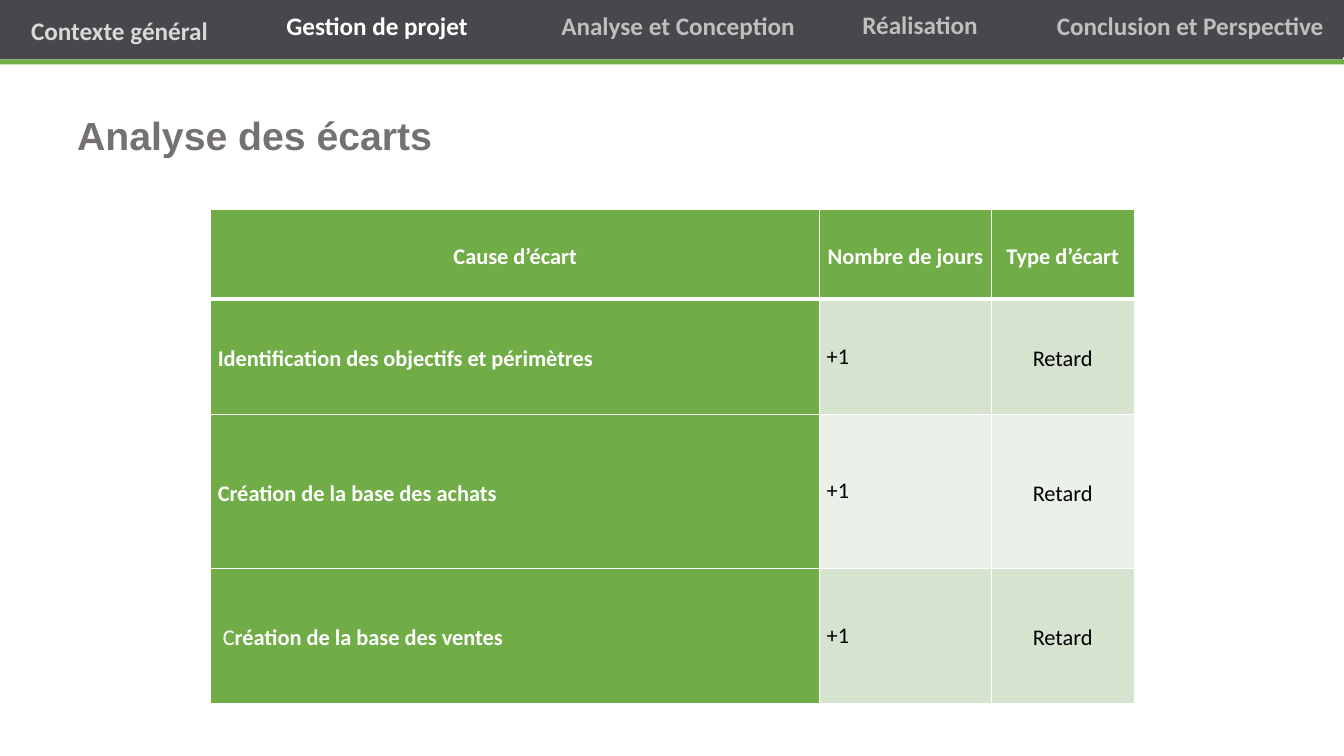
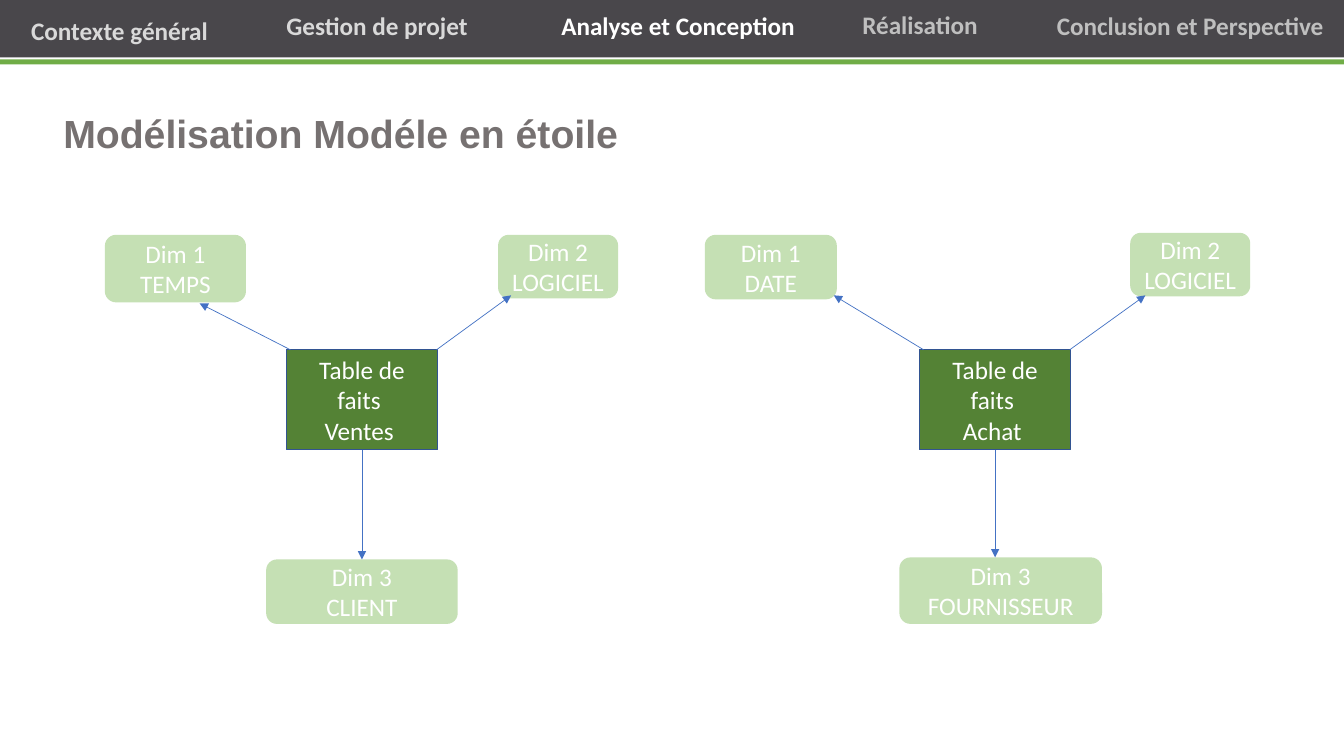
from dataclasses import dataclass

from lxml import etree
from pptx import Presentation
from pptx import util as u
from pptx.dml.color import RGBColor
from pptx.enum import shapes, text
from pptx.oxml import ns

RECT = shapes.MSO_SHAPE.RECTANGLE
ROUND = shapes.MSO_SHAPE.ROUNDED_RECTANGLE
LEFT = text.PP_ALIGN.LEFT
CENTER = text.PP_ALIGN.CENTER


@dataclass(frozen=True)
class Theme:
    """Colours, fonts and type sizes of the deck."""
    body_font: str = "Calibri"
    title_font: str = "Arial"
    title_size: int = 28
    body_size: int = 18
    table_size: int = 16
    white: str = "FFFFFF"
    black: str = "000000"
    title: str = "767171"
    band: str = "49474B"
    green: str = "70AD47"
    fact: str = "548235"
    fact_line: str = "325491"
    dimension: str = "C5E0B4"
    arrow: str = "4472C4"
    tab_before: str = "D9D9D9"
    tab_after: str = "BFBFBF"
    row_fills: tuple = ("D5E3CF", "EBF1E9")


TABS = (
    ("Contexte général", -0.01, 0.09, 2.39),
    ("Gestion de projet", 2.72, 0.04, 2.04),
    ("Analyse et Conception", 5.43, 0.04, 2.59),
    ("Réalisation", 7.83, 0.03, 2.59),
    ("Conclusion et Perspective", 10.35, 0.04, 2.91),
)


class Slides:
    """Draws styled elements on the current page of the deck."""

    def __init__(self, theme):
        self.theme = theme
        self.deck = Presentation()
        self.deck.slide_width = u.Inches(13.33)
        self.deck.slide_height = u.Inches(7.5)
        self.page = None

    def new_page(self):
        self.page = self.deck.slides.add_slide(self.deck.slide_layouts[6])

    def style(self, para, size, color, bold=False, font=None, align=CENTER):
        para.alignment = align
        for span in para.runs:
            span.font.name = font or self.theme.body_font
            span.font.size = u.Pt(size)
            span.font.bold = bold
            span.font.color.rgb = RGBColor.from_string(color)

    def box(self, kind, place, fill=None, line=None, words="", color=None, bold=False):
        box = self.page.shapes.add_shape(kind, *map(u.Inches, place))
        box.shadow.inherit = False
        if fill:
            box.fill.solid()
            box.fill.fore_color.rgb = RGBColor.from_string(fill)
        else:
            box.fill.background()
        if line:
            box.line.color.rgb = RGBColor.from_string(line)
            box.line.width = u.Pt(1)
        else:
            box.line.fill.background()
        if words:
            frame = box.text_frame
            frame.text = words
            frame.word_wrap = True
            frame.vertical_anchor = text.MSO_ANCHOR.MIDDLE
            for para in frame.paragraphs:
                self.style(para, self.theme.body_size, color or self.theme.white, bold)

    def band(self, left, top):
        self.box(RECT, (left, top, 13.33, 0.61), self.theme.band)

    def header(self, current):
        theme = self.theme
        self.band(0, -0.04)
        self.box(RECT, (0, 0.59, 13.33, 0.05), theme.green)
        for index, (words, left, top, width) in enumerate(TABS):
            color = theme.tab_before if index < current else theme.tab_after
            if index == current:
                color = theme.white
            self.box(ROUND, (left, top, width, 0.43), words=words, color=color, bold=True)

    def title(self, words, left, top, width, align=LEFT):
        box = self.page.shapes.add_textbox(*map(u.Inches, (left, top, width, 0.57)))
        frame = box.text_frame
        frame.word_wrap = True
        frame.text = words
        self.style(frame.paragraphs[0], self.theme.title_size, self.theme.title,
                   True, self.theme.title_font, align)

    def arrow(self, start, end):
        line = self.page.shapes.add_connector(
            shapes.MSO_CONNECTOR.STRAIGHT, *map(u.Inches, (*start, *end)))
        line.line.color.rgb = RGBColor.from_string(self.theme.arrow)
        line.line.width = u.Pt(0.5)
        etree.SubElement(line.line._get_or_add_ln(), ns.qn("a:tailEnd"), type="triangle")
        etree.SubElement(line._element.spPr, ns.qn("a:effectLst"))

    def cell(self, cell, words, fill, color, bold, align, spacing, bottom):
        cell.margin_left = cell.margin_right = u.Inches(0.07)
        cell.margin_top = cell.margin_bottom = 0
        cell.vertical_anchor = text.MSO_ANCHOR.MIDDLE
        cell.text = words
        para = cell.text_frame.paragraphs[0]
        para.line_spacing = spacing
        self.style(para, self.theme.table_size, color, bold, align=align)
        props = cell._tc.get_or_add_tcPr()
        for side, width in (("L", 1), ("R", 1), ("T", 1), ("B", bottom)):
            edge = etree.SubElement(props, ns.qn(f"a:ln{side}"), w=str(u.Pt(width)))
            paint = etree.SubElement(edge, ns.qn("a:solidFill"))
            etree.SubElement(paint, ns.qn("a:srgbClr"), val=self.theme.white)
        cell.fill.solid()
        cell.fill.fore_color.rgb = RGBColor.from_string(fill)

    def table(self, place, widths, heights, rows):
        theme = self.theme
        grid = self.page.shapes.add_table(
            len(rows), len(widths), *map(u.Inches, place)).table
        for column, width in zip(grid.columns, widths):
            column.width = u.Inches(width)
        for row, height in zip(grid.rows, heights):
            row.height = u.Inches(height)
        for r, row in enumerate(rows):
            for c, words in enumerate(row):
                strong = r == 0 or c == 0
                fill = theme.green if strong else theme.row_fills[(r - 1) % 2]
                color = theme.white if strong else theme.black
                align = CENTER if r == 0 or c == 2 else LEFT
                spacing = 1.0 if r and c == 1 else 1.15
                self.cell(grid.cell(r, c), words, fill, color, strong, align,
                          spacing, 1 if r else 3)
        return grid

    def star(self, fact, left, dimensions, left_tip, right_tip):
        theme = self.theme
        self.box(RECT, (left, 3.47, 1.5, 0.99), theme.fact, theme.fact_line,
                 f"Table de faits \n{fact} ")
        for number, (name, *place) in enumerate(dimensions, 1):
            self.box(ROUND, place, theme.dimension, words=f"Dim {number}\n{name}")
        middle = left + 0.75
        self.arrow((left + 1.49, 3.47), right_tip)
        self.arrow((left + 0.04, 3.47), left_tip)
        self.arrow((middle, 4.46), (middle, dimensions[2][2]))


def gap_page(slides):
    """Draw the table of schedule gaps."""
    slides.new_page()
    slides.band(-0.01, -0.02)
    grid = slides.table(
        (2.09, 2.08, 9.16, 4.9), (6.04, 1.7, 1.42), (0.89, 1.14, 1.53, 1.34),
        (("Cause d’écart", "Nombre de jours", "Type d’écart"),
         ("Identification des objectifs et périmètres", "+1", "Retard"),
         ("Création de la base des achats", "+1", "Retard"),
         (" C", "+1", "Retard")))
    para = grid.cell(3, 0).text_frame.paragraphs[0]
    para.add_run().text = "réation de la base des ventes"
    slides.style(para, slides.theme.table_size, slides.theme.white, True, align=LEFT)
    para.runs[0].font.bold = False
    slides.title("Analyse des écarts", -0.81, 1.06, 6.67, CENTER)
    slides.header(1)


def star_page(slides):
    """Draw the two star schemas."""
    slides.new_page()
    slides.title("Modélisation Modéle en étoile", 0.53, 1.04, 7.5)
    slides.header(2)
    slides.star("Achat", 9.12, (
        ("DATE", 6.99, 2.33, 1.31, 0.64),
        ("LOGICIEL", 11.21, 2.31, 1.19, 0.63),
        ("FOURNISSEUR", 8.92, 5.53, 2.01, 0.66)), (8.27, 2.93), (11.36, 2.93))
    slides.star("Ventes", 2.84, (
        ("TEMPS", 1.04, 2.33, 1.4, 0.67),
        ("LOGICIEL", 4.94, 2.33, 1.19, 0.63),
        ("CLIENT", 2.64, 5.55, 1.9, 0.64)), (1.98, 3.01), (5.07, 2.93))


def main():
    """Build and save the deck."""
    slides = Slides(Theme())
    gap_page(slides)
    star_page(slides)
    slides.deck.save("out.pptx")


if __name__ == "__main__":
    main()
